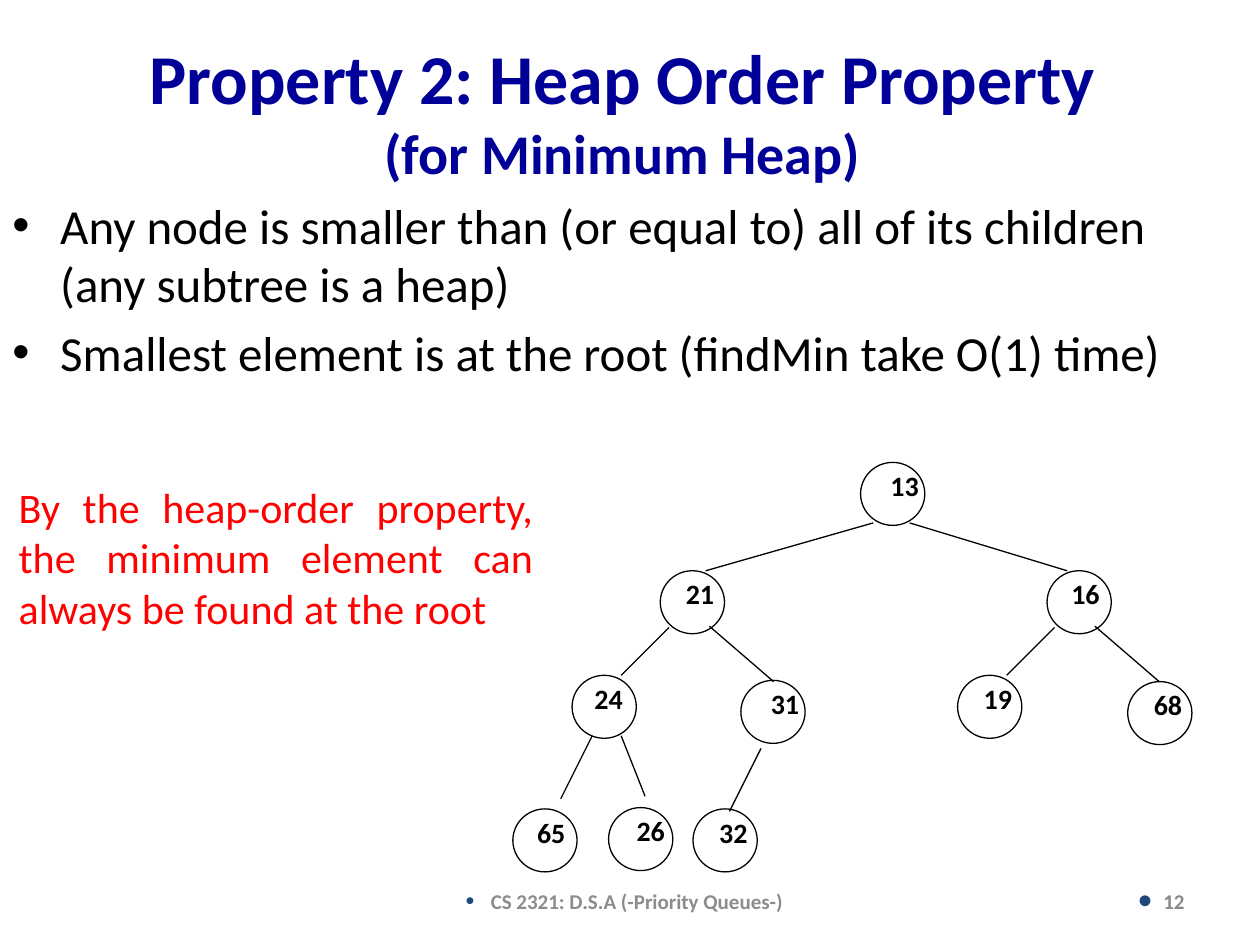
from lxml import etree
from pptx import Presentation
from pptx.dml.color import RGBColor
from pptx.enum.shapes import MSO_CONNECTOR, MSO_SHAPE
from pptx.enum.text import MSO_ANCHOR, MSO_AUTO_SIZE, PP_ALIGN
from pptx.oxml.ns import qn
from pptx.util import Inches, Pt

LEFT, CENTER, RIGHT, JUSTIFY = PP_ALIGN.LEFT, PP_ALIGN.CENTER, PP_ALIGN.RIGHT, PP_ALIGN.JUSTIFY
TOP, MIDDLE = MSO_ANCHOR.TOP, MSO_ANCHOR.MIDDLE
NO_AUTOSIZE = MSO_AUTO_SIZE.NONE
OVAL, STRAIGHT = MSO_SHAPE.OVAL, MSO_CONNECTOR.STRAIGHT

FONT = "Calibri"
COLORS = {
    "title": "000099",
    "ink": "000000",
    "note": "FF0000",
    "footer": "8C8C8C",
    "number": "898989",
    "footer_bullet": "1F497D",
}
NODE_WIDTH, NODE_HEIGHT, LABEL_HEIGHT = 0.51, 0.5, 0.37

NODES = [
    ("13", 6.83, 3.67, 0.7),
    ("21", 5.24, 4.53, 0.63),
    ("16", 8.31, 4.53, 0.61),
    ("24", 4.54, 5.36, 0.58),
    ("31", 5.88, 5.4, 0.7),
    ("19", 7.6, 5.36, 0.64),
    ("68", 8.95, 5.41, 0.64),
    ("65", 4.07, 6.42, 0.61),
    ("26", 4.83, 6.41, 0.67),
    ("32", 5.5, 6.42, 0.64),
]
EDGES = [
    (6.93, 4.15, 5.6, 4.53),
    (7.22, 4.15, 8.47, 4.53),
    (5.31, 4.98, 4.93, 5.36),
    (5.63, 4.97, 6.14, 5.41),
    (8.37, 4.98, 7.99, 5.36),
    (8.69, 4.97, 9.2, 5.41),
    (4.7, 5.84, 4.45, 6.34),
    (4.93, 5.84, 5.12, 6.32),
    (6.04, 5.94, 5.79, 6.44),
]


def rgb(name):
    return RGBColor.from_string(COLORS[name])


def format_font(font, size, color, bold=False):
    font.name = FONT
    font.size = Pt(size)
    font.bold = bold
    font.color.rgb = rgb(color)


def add_bullet(paragraph, indent, color, percent=100):
    properties = paragraph._p.get_or_add_pPr()
    properties.set("marL", str(Inches(indent)))
    properties.set("indent", str(-Inches(indent)))
    bullet_color = etree.SubElement(properties, qn("a:buClr"))
    etree.SubElement(bullet_color, qn("a:srgbClr"), val=COLORS[color])
    etree.SubElement(properties, qn("a:buSzPct"), val=str(percent * 1000))
    etree.SubElement(properties, qn("a:buFont"), typeface="Arial")
    etree.SubElement(properties, qn("a:buChar"), char="•")


def add_text(slide, box, lines, size, color, align=LEFT, bold=False,
             anchor=TOP, bullet=None, space_before=0):
    shape = slide.shapes.add_textbox(*map(Inches, box))
    frame = shape.text_frame
    frame.word_wrap = True
    frame.vertical_anchor = anchor
    for index, line in enumerate(lines):
        paragraph = frame.paragraphs[0] if index == 0 else frame.add_paragraph()
        paragraph.text = line
        paragraph.alignment = align
        if index:
            paragraph.space_before = Pt(space_before)
        if bullet:
            add_bullet(paragraph, *bullet)
        format_font(paragraph.font, size, color, bold)
    return frame


def set_title(slide):
    title = slide.shapes.title
    title.left, title.top, title.width, title.height = map(Inches, (0.69, 0.25, 8.5, 1.25))
    frame = title.text_frame
    frame.auto_size = NO_AUTOSIZE
    frame.vertical_anchor = MIDDLE
    paragraph = frame.paragraphs[0]
    paragraph.alignment = CENTER
    heading = paragraph.add_run()
    heading.text = "Property 2: Heap Order Property"
    format_font(heading.font, 40, "title", True)
    paragraph.add_line_break()
    subheading = paragraph.add_run()
    subheading.text = "(for Minimum Heap)"
    format_font(subheading.font, 32, "title", True)


def add_node(slide, value, left, top, label_width):
    circle = slide.shapes.add_shape(
        OVAL, *map(Inches, (left, top, NODE_WIDTH, NODE_HEIGHT)))
    circle.shadow.inherit = False
    circle.fill.background()
    circle.line.color.rgb = rgb("ink")
    circle.line.width = Pt(0.75)
    add_text(slide, (left, top, label_width, LABEL_HEIGHT), [value], 16, "ink",
             CENTER, bold=True)


def add_edge(slide, *ends):
    edge = slide.shapes.add_connector(STRAIGHT, *map(Inches, ends))
    edge.line.color.rgb = rgb("ink")
    edge.line.width = Pt(0.75)
    etree.SubElement(edge._element.spPr, qn("a:effectLst"))


def main():
    presentation = Presentation()
    presentation.slide_width, presentation.slide_height = Inches(10), Inches(7.5)
    slide = presentation.slides.add_slide(presentation.slide_layouts[5])
    set_title(slide)
    add_text(slide, (0, 1.5, 9.67, 1.64), [
        "Any node is smaller than (or equal to) all of its children (any subtree is a heap)",
        "Smallest element is at the root (findMin take O(1) time)",
    ], 28, "ink", bullet=(0.38, "ink"), space_before=5.6)
    for node in NODES:
        add_node(slide, *node)
    for edge in EDGES:
        add_edge(slide, *edge)
    footer = add_text(slide, (3.42, 6.95, 3.17, 0.4), ["CS 2321: D.S.A (-Priority Queues-)"],
                      12, "footer", CENTER, True, MIDDLE, (0.2, "footer_bullet", 120))
    footer.margin_left = 0
    add_text(slide, (7.17, 6.95, 2.33, 0.4), ["12"], 12, "number", RIGHT, True, MIDDLE,
             (0.2, "footer_bullet", 190))
    add_text(slide, (0.05, 3.77, 4.28, 1.31), [
        "By the heap-order property, the minimum element can always be found at the root",
    ], 24, "note", JUSTIFY)
    presentation.save("out.pptx")


if __name__ == "__main__":
    main()
